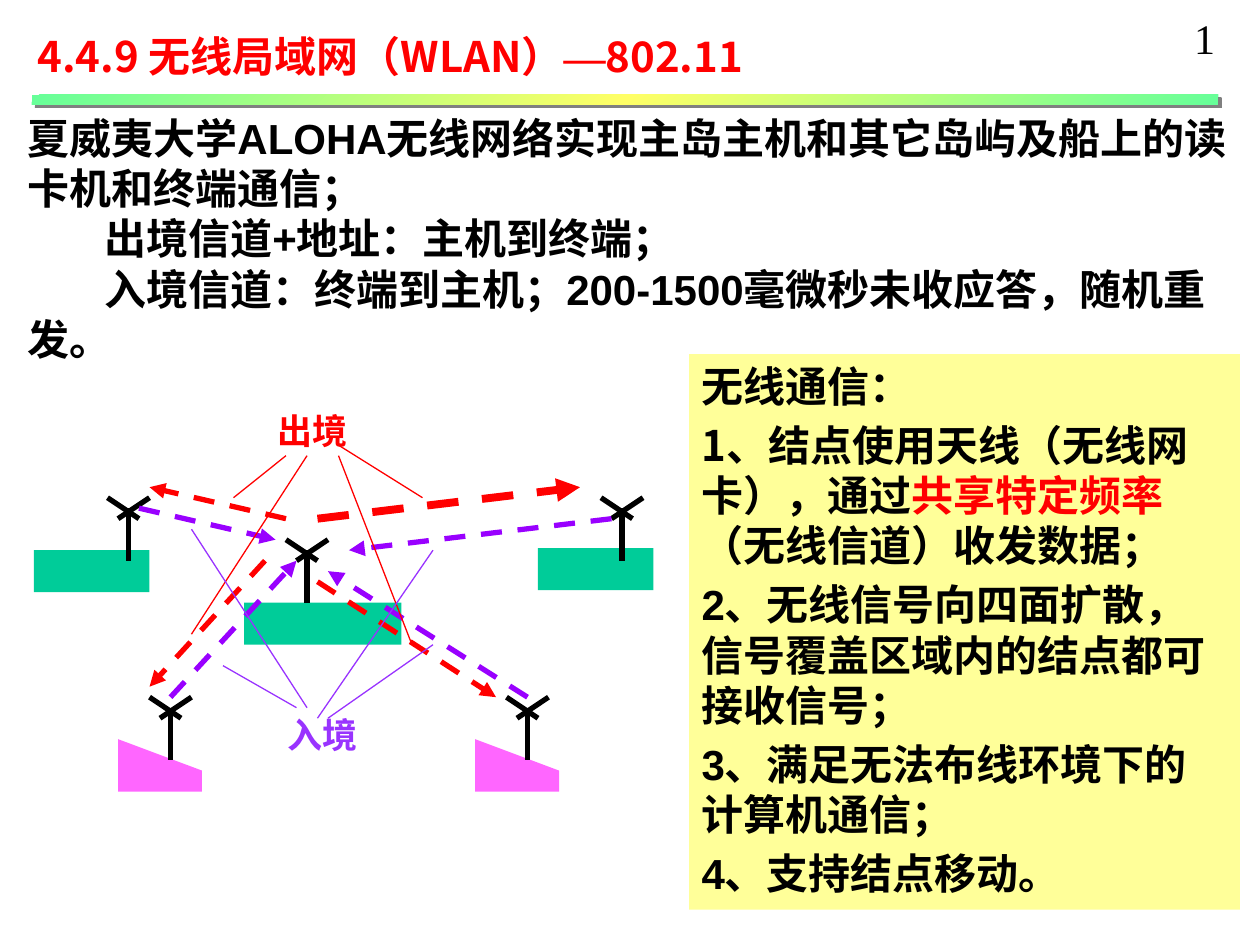
from lxml import etree
from pptx import Presentation
from pptx.dml.color import RGBColor
from pptx.enum.dml import MSO_LINE
from pptx.enum.shapes import MSO_CONNECTOR, MSO_SHAPE
from pptx.oxml import parse_xml
from pptx.oxml.ns import qn
from pptx.util import Inches, Pt

RECTANGLE, STRAIGHT, DASH = MSO_SHAPE.RECTANGLE, MSO_CONNECTOR.STRAIGHT, MSO_LINE.DASH
NOTO, ARIAL, TIMES = "Noto Sans CJK SC", "Arial", "Times New Roman"
BLACK, RED, PURPLE, VIOLET = "000000", "FF0000", "9900FF", "9933FF"
GREEN, PINK, YELLOW = "00CC99", "FF66FF", "FFFF99"
NAMESPACE = 'xmlns:a="http://schemas.openxmlformats.org/drawingml/2006/main"'
UNIT = 1 / 12  # grid step of the network diagram, in inches


def color(value):
    return RGBColor.from_string(value)


def paint(shape, value):
    shape.shadow.inherit = False
    shape.fill.solid()
    shape.fill.fore_color.rgb = color(value)
    shape.line.fill.background()
    return shape


def add_rectangle(page, box, fill):
    return paint(page.shapes.add_shape(RECTANGLE, *map(Inches, box)), fill)


def add_span(para, text, name=NOTO, size=24, bold=True, fill=BLACK, asian=NOTO):
    span = para.add_run()
    span.text = text
    formats = {"name": name, "size": Pt(size), "bold": bold}
    for key, value in formats.items():
        setattr(span.font, key, value)
    span.font.color.rgb = color(fill)
    etree.SubElement(span.font._element, qn("a:ea")).set("typeface", asian)


def add_text(page, box, text, wrap=True, **formats):
    frame = page.shapes.add_textbox(*map(Inches, box)).text_frame
    frame.word_wrap = wrap
    add_span(frame.paragraphs[0], text, **formats)
    return frame


def add_line(page, start, end, fill, width, arrow=False):
    line = page.shapes.add_connector(STRAIGHT, *map(Inches, (*start, *end)))
    line.line.color.rgb = color(fill)
    line.line.width = Pt(width)
    if arrow:
        line.line.dash_style = DASH
        etree.SubElement(line.line._ln, qn("a:tailEnd")).set("type", "triangle")
    etree.SubElement(line._element.spPr, qn("a:effectLst"))


def add_header(page, box):
    left, top, width, height = box
    # Gradient rule with a hard shadow
    rule = add_rectangle(page, (left + 0.05, top + 0.56, 9.42, 0.08), GREEN)
    properties = rule._element.spPr
    stops = "".join(
        f'<a:gs pos="{place}"><a:srgbClr val="{value}"/></a:gs>'
        for place, value in ((0, "66FF99"), (50000, "FFFF66"), (100000, "66FF99")))
    properties.replace(properties.find(qn("a:solidFill")), parse_xml(
        f'<a:gradFill {NAMESPACE} rotWithShape="1"><a:gsLst>{stops}</a:gsLst>'
        '<a:lin ang="2700000" scaled="1"/></a:gradFill>'))
    properties.find(qn("a:effectLst")).append(parse_xml(
        f'<a:outerShdw {NAMESPACE} dist="35560" dir="2700000" algn="ctr" '
        'rotWithShape="0"><a:srgbClr val="808080"/></a:outerShdw>'))
    # Title and page number
    title = add_text(page, (left, top, 7.8, height), "4.4.9 无线局域网（WLAN）", fill=RED)
    add_span(title.paragraphs[0], "—", name=TIMES, fill=RED, asian=TIMES)
    add_span(title.paragraphs[0], "802.11", fill=RED)
    add_text(page, (left + width - 0.37, top - 0.14, 0.37, height), "1",
             wrap=False, name=TIMES, bold=False)


def add_introduction(page, box):
    frame = add_text(page, box, "夏威夷大学ALOHA无线网络实现主岛主机和其它岛屿及船上的"
                     "读卡机和终端通信；", name=ARIAL)
    for text in ("出境信道+地址：主机到终端；",
                 "入境信道：终端到主机；200-1500毫微秒未收应答，随机重发。"):
        para = frame.add_paragraph()
        para._p.get_or_add_pPr().set("indent", str(Inches(0.61)))
        add_span(para, text, name=ARIAL)


def add_notes_panel(page, box):
    add_rectangle(page, box, YELLOW)
    frame = add_text(page, box, "无线通信：")
    points = (
        (NOTO, (("1、结点使用天线（无线网卡），通过", BLACK),
                ("共享特定频率", RED), ("（无线信道）收发数据；", BLACK))),
        (ARIAL, (("2、无线信号向四面扩散，信号覆盖区域内的结点都可接收信号；", BLACK),)),
        (ARIAL, (("3、满足无法布线环境下的计算机通信；", BLACK),)),
        (ARIAL, (("4、支持结点移动。", BLACK),)),
    )
    for name, spans in points:
        para = frame.add_paragraph()
        para.space_before = Pt(4.8)
        for text, fill in spans:
            add_span(para, text, name=name, fill=fill)


def add_network(page, box):
    left, top = box[:2]

    def spot(x, y):
        return left + x * UNIT, top + y * UNIT

    def join(x1, y1, x2, y2, *style):
        add_line(page, spot(x1, y1), spot(x2, y2), *style)

    # Islands
    for x, y, width in ((0, 14, 11), (20, 19, 15), (48, 13.8, 11)):
        add_rectangle(page, (*spot(x, y), width * UNIT, 4 * UNIT), GREEN)

    # Ships, below the two lower antennas
    ships = ((13, 29), (47, 29))
    for x, y in ships:
        corners = [tuple(map(Inches, spot(x + across, y + down)))
                   for across, down in ((-5, 3), (-5, 8), (3, 8), (3, 6))]
        outline = page.shapes.build_freeform(*corners[0], scale=1.0)
        outline.add_line_segments(corners[1:], close=True)
        paint(outline.convert_to_shape(), PINK)

    # Antennas: a mast and two crossing arms
    for x, y in ((9, 10), (56, 10), *ships, (26, 14)):
        for x1, y1, x2, y2 in ((0, 0, 0, 5), (-2, -1, 1, 1), (-1, 1, 2, -1)):
            join(x + x1, y + y1, x + x2, y + y2, BLACK, 3)

    # Inbound and outbound channels
    for ends in ((10, 10, 23, 13), (13, 28, 25, 15), (47, 28, 28, 16), (55, 11, 30, 14)):
        join(*ends, PURPLE, 3, True)
    for *ends, width in ((24, 11, 11, 8, 3), (27, 11, 52, 8, 4.5),
                         (22, 15, 11, 27, 3), (27, 17, 44, 28, 3)):
        join(*ends, RED, width, True)

    # Labels with their leader lines
    labels = (
        ("出境", 22, 0, RED,
         ((24, 5, 19, 9), (29, 4, 37, 9), (26, 5, 15, 22), (29, 5, 36, 23))),
        ("入境", 23, 29, VIOLET,
         ((25, 29, 18, 25), (28, 30, 38, 23), (27, 30, 38, 14), (26, 29, 15, 12))),
    )
    for text, x, y, fill, leaders in labels:
        add_text(page, (*spot(x, y), 0.76, 0.43), text,
                 wrap=False, name=TIMES, size=20, fill=fill)
        for ends in leaders:
            join(*ends, fill, 0.75)


def main():
    deck = Presentation()
    deck.slide_width, deck.slide_height = Inches(10), Inches(7.5)
    page = deck.slides.add_slide(deck.slide_layouts[6])
    add_header(page, (0.2, 0.19, 9.55, 0.5))
    add_notes_panel(page, (5.47, 2.81, 4.37, 4.41))
    add_network(page, (0.27, 3.2, 4.92, 3.08))
    add_introduction(page, (0.12, 0.84, 9.77, 2.1))
    deck.save("out.pptx")


if __name__ == "__main__":
    main()
